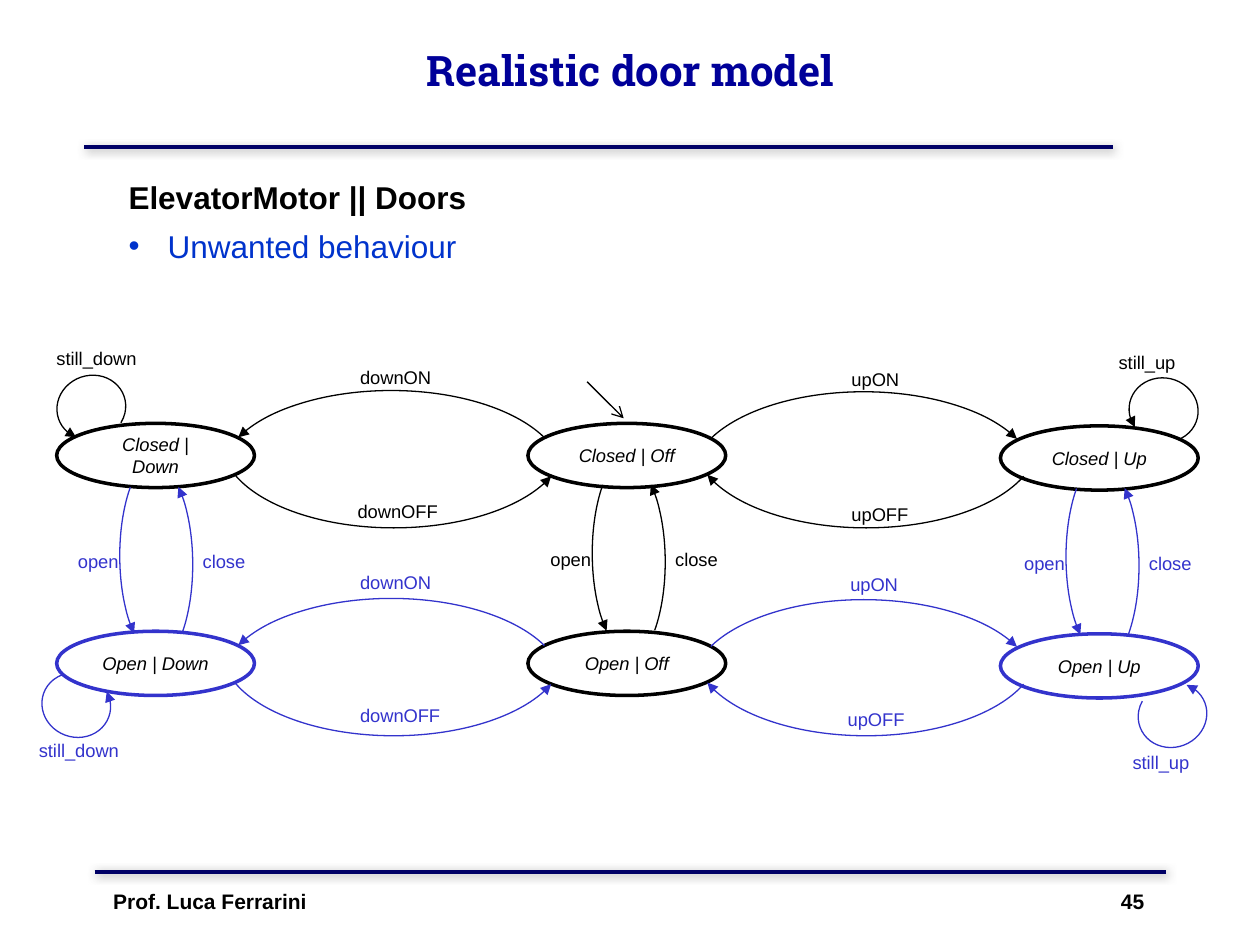
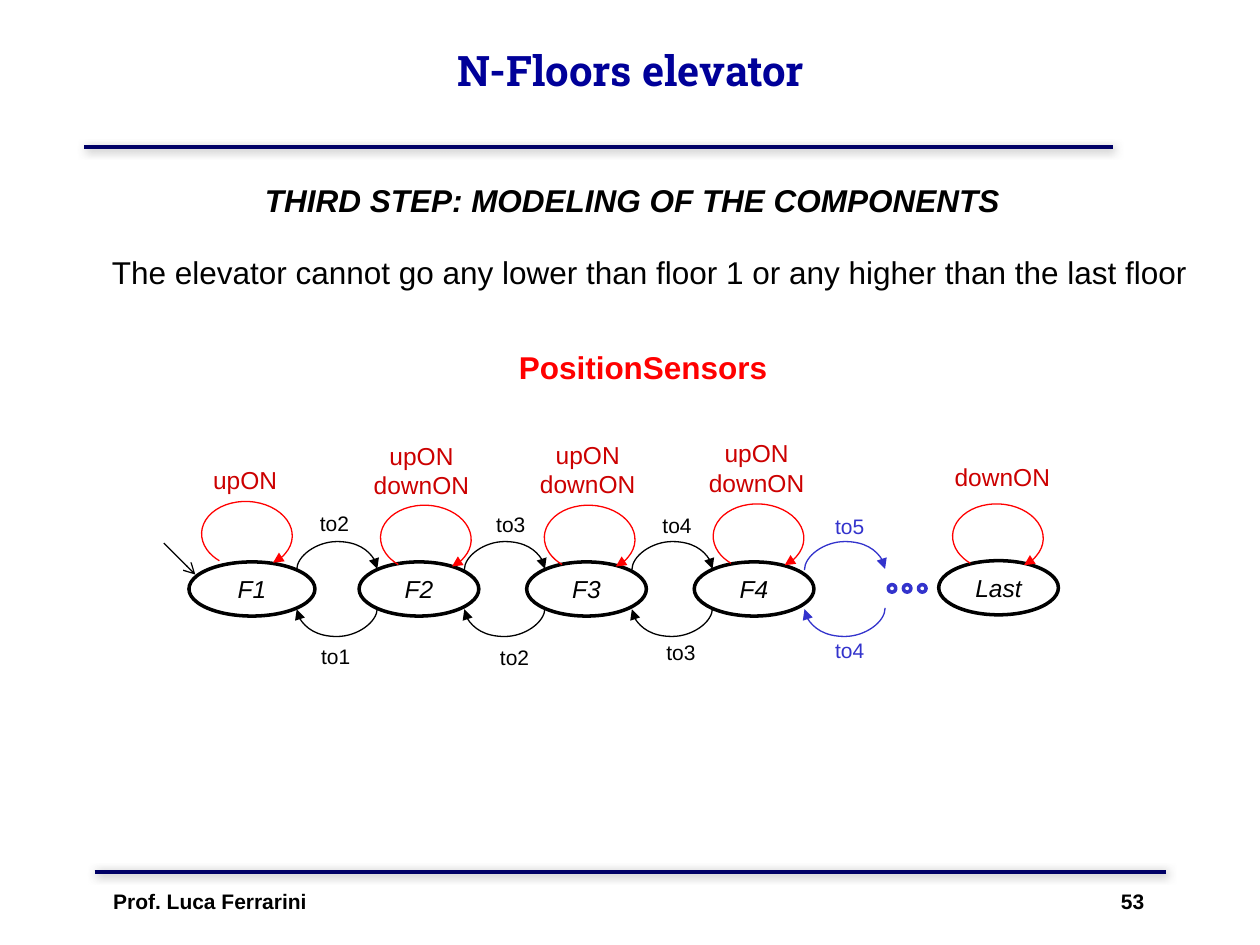
from lxml.etree import SubElement
from pptx import Presentation
from pptx.dml.color import RGBColor
from pptx.enum.shapes import MSO_CONNECTOR, MSO_SHAPE
from pptx.enum.text import MSO_ANCHOR, PP_ALIGN
from pptx.oxml.ns import qn
from pptx.util import Inches, Pt

BLACK, WHITE, BLUE, RED, CRIMSON = "000000", "FFFFFF", "3333CC", "FF0000", "CC0000"
NAVY, TITLE_BLUE, BULLET_BLUE, SHADOW = "000066", "000099", "0033CC", "808080"

TITLE = {"name": "Roboto Slab", "size": Pt(24), "bold": True, "italic": False}
PLAIN = {"name": "Arial", "size": Pt(18), "bold": False, "italic": False}
STRONG = PLAIN | {"bold": True}
STEP = STRONG | {"italic": True}
FOOTER = STRONG | {"size": Pt(12)}
EVENT = PLAIN | {"size": Pt(10.5)}
MOVE = PLAIN | {"size": Pt(12)}
SENSOR = PLAIN | {"size": Pt(14)}

AUTHOR = "Prof. Luca Ferrarini"
RULES = [((0.67, 1.17), (8.83, 1.17)), ((0.75, 6.92), (9.25, 6.92))]

UPPER, LOWER, SIDE, LOOP = (116.7, 207.39), (7.46, 100.93), (173.36, 39.61), (81.6, 27.6)

DOOR_STATES = [
    ("Closed | Down", 0.45, 3.36, BLACK), ("Closed | Off", 4.19, 3.36, BLACK),
    ("Closed | Up", 7.94, 3.38, BLACK), ("Open | Down", 0.45, 5.01, BLUE),
    ("Open | Off", 4.19, 5.01, BLACK), ("Open | Up", 7.94, 5.03, BLUE),
]
DOOR_MOVES = [(0.88, 3.67, BLUE), (4.63, 3.65, BLACK), (8.39, 3.68, BLUE)]
MOTOR_ARCS = [
    (1.74, 3.1, UPPER, "head"), (1.76, 2.82, LOWER, "head"),
    (5.49, 3.11, UPPER, "tail"), (5.51, 2.82, LOWER, "tail"),
]
MOTOR_ROWS = [(0, BLACK), (1.65, BLUE)]
STILL_LOOPS = [
    (0.45, 2.98, 341.2, BLACK), (0.33, 5.34, 200.1, BLUE),
    (8.96, 3.0, 13.2, BLACK), (9.03, 5.42, 158.9, BLUE),
]
DOOR_EVENTS = [
    ("downON", 2.76, 2.86, BLACK), ("downON", 2.76, 4.48, BLUE),
    ("downOFF", 2.74, 3.92, BLACK), ("downOFF", 2.76, 5.54, BLUE),
    ("upOFF", 6.66, 3.94, BLACK), ("upOFF", 6.63, 5.57, BLUE),
    ("upON", 6.66, 2.87, BLACK), ("upON", 6.65, 4.5, BLUE),
    ("still_down", 0.35, 2.71, BLACK), ("still_down", 0.21, 5.82, BLUE),
    ("still_up", 8.78, 2.74, BLACK), ("still_up", 8.89, 5.91, BLUE),
]

FLOORS = [
    ("F1", 1.5, 4.46, 1), ("F2", 2.85, 4.46, 0.95), ("F3", 4.18, 4.46, 0.95),
    ("F4", 5.51, 4.46, 0.95), ("Last", 7.45, 4.45, 0.95),
]
FLOOR_MOVES = [
    (2.36, BLACK, ("to2", 2.44, 4.0), ("to1", 2.45, 5.06)),
    (3.69, BLACK, ("to3", 3.84, 4.01), ("to2", 3.87, 5.07)),
    (5.02, BLACK, ("to4", 5.16, 4.02), ("to3", 5.19, 5.03)),
    (6.39, BLUE, ("to5", 6.53, 4.03), ("to4", 6.53, 5.01)),
]
SENSOR_LOOPS = [
    (1.6, 3.98, "upON", 1.44, 3.64), (3.02, 4.01, "upON\ndownON", 2.84, 3.45),
    (4.32, 4.01, "upON\ndownON", 4.16, 3.44), (5.66, 4.0, "upON\ndownON", 5.5, 3.43),
    (7.56, 4.0, "downON", 7.45, 3.62),
]


def hue(code):
    """Turn a hex string into a colour."""
    return RGBColor.from_string(code)


def style(paragraph, font, color, align):
    """Format one paragraph."""
    paragraph.alignment = align
    for key, value in font.items():
        setattr(paragraph.font, key, value)
    paragraph.font.color.rgb = hue(color)


def write(holder, text, font, color, align=PP_ALIGN.LEFT):
    """Fill a shape with formatted text."""
    holder.text_frame.text = text
    holder.text_frame.word_wrap = True
    for paragraph in holder.text_frame.paragraphs:
        style(paragraph, font, color, align)


def place(holder, *box):
    """Move a placeholder to a box given in inches."""
    for side, length in zip(("left", "top", "width", "height"), box):
        setattr(holder, side, Inches(length))


def label(slide, text, box, font, color=BLACK, align=PP_ALIGN.LEFT):
    """Add a text box."""
    write(slide.shapes.add_textbox(*map(Inches, box)), text, font, color, align)


def outline(part, color, width, **ends):
    """Set a line and its arrowheads."""
    part.line.color.rgb = hue(color)
    part.line.width = Pt(width)
    for end, kind in ends.items():
        SubElement(part.element.spPr.get_or_add_ln(), qn(f"a:{end}End"), type=kind)


def link(slide, start, finish, color, width, kind=MSO_CONNECTOR.STRAIGHT, **ends):
    """Add a connector and return it with its empty effect list."""
    line = slide.shapes.add_connector(kind, *map(Inches, start + finish))
    outline(line, color, width, **ends)
    return line, SubElement(line.element.spPr, qn("a:effectLst"))


def state(slide, text, box, color, font):
    """Add an ellipse for an automaton state."""
    oval = slide.shapes.add_shape(MSO_SHAPE.OVAL, *map(Inches, box))
    oval.shadow.inherit = False
    oval.fill.solid()
    oval.fill.fore_color.rgb = hue(WHITE)
    outline(oval, color, 2)
    if text:
        write(oval, text, font | {"italic": True}, BLACK, PP_ALIGN.CENTER)
        oval.text_frame.vertical_anchor = MSO_ANCHOR.MIDDLE


def arc(slide, box, sweep, color, turn=0, end="head", flip=False):
    """Add an arc with an arrowhead."""
    bend = slide.shapes.add_shape(MSO_SHAPE.ARC, *map(Inches, box))
    bend.shadow.inherit = False
    bend.fill.background()
    bend.adjustments[0], bend.adjustments[1] = sweep
    bend.rotation = turn
    if flip:
        bend.element.spPr.find(qn("a:xfrm")).set("flipH", "1")
    outline(bend, color, 0.75, **{end: "triangle"})


def hop(slide, start, finish, color):
    """Add a U-shaped curve between two floors."""
    curve, _ = link(slide, start, finish, color, 0.75, MSO_CONNECTOR.CURVE, tail="triangle")
    curve.element.spPr.find(qn("a:xfrm")).set("rot", "5400000")
    guides = curve.element.spPr.find(qn("a:prstGeom")).get_or_add_avLst()
    SubElement(guides, qn("a:gd"), name="adj1", fmla="val 2300000")


def new_slide(deck, layout, title, number):
    """Add a slide with the shared title, rules and footer."""
    slide = deck.slides.add_slide(deck.slide_layouts[layout])
    for start, finish in RULES:
        _, effects = link(slide, start, finish, NAVY, 2.25)
        shade = SubElement(effects, qn("a:outerShdw"), blurRad=str(Pt(5)),
                           dist=str(Pt(1.4)), dir="2700000", algn="ctr", rotWithShape="0")
        tint = SubElement(shade, qn("a:srgbClr"), val=SHADOW)
        SubElement(tint, qn("a:alpha"), val="75000")
    heading = slide.shapes.title
    place(heading, 0.92, -0.07, 8.17, 1.25)
    write(heading, title, TITLE, TITLE_BLUE, PP_ALIGN.CENTER)
    heading.text_frame.vertical_anchor = MSO_ANCHOR.MIDDLE
    label(slide, AUTHOR, (0.8, 7, 4, 0.3), FOOTER)
    label(slide, number, (8.18, 7, 1, 0.3), FOOTER, align=PP_ALIGN.RIGHT)
    return slide


def door_slide(deck):
    """Build the door and motor automaton."""
    slide = new_slide(deck, 1, "Realistic door model", "45")
    topics = slide.placeholders[1]
    place(topics, 0.92, 1.36, 7.94, 0.8)
    write(topics, "ElevatorMotor || Doors\nUnwanted behaviour", STRONG, BLACK)
    product, behaviour = topics.text_frame.paragraphs
    style(behaviour, PLAIN, BULLET_BLUE, PP_ALIGN.LEFT)
    for topic, gap, indent, bullet in ((product, 0, 0, None), (behaviour, 6.7, 0.31, "•")):
        topic.space_before = Pt(gap)
        props = topic._p.get_or_add_pPr()
        props.set("marL", str(Inches(indent)))
        props.set("indent", str(-Inches(indent)))
        mark = SubElement(props, qn("a:buChar" if bullet else "a:buNone"))
        if bullet:
            mark.set("char", bullet)
        props.append(props.find(qn("a:defRPr")))

    for text, x, y, color in DOOR_STATES:
        state(slide, text, (x, y, 1.57, 0.51), color, EVENT)
    for x, y, color in DOOR_MOVES:
        arc(slide, (x, y, 0.65, 1.62), SIDE, color)
        arc(slide, (x + 0.07, y - 0.07, 0.65, 1.62), SIDE, color, 180)
        label(slide, "open", (x - 0.36, y + 0.65, 0.75, 0.28), EVENT, color)
        label(slide, "close", (x + 0.63, y + 0.65, 0.65, 0.28), EVENT, color)
    for drop, color in MOTOR_ROWS:
        for x, y, sweep, end in MOTOR_ARCS:
            arc(slide, (x, y + drop, 2.73, 1.37), sweep, color, end=end)
    for x, y, turn, color in STILL_LOOPS:
        arc(slide, (x, y, 0.55, 0.51), LOOP, color, turn)
    for text, x, y, color in DOOR_EVENTS:
        label(slide, text, (x, y, 0.93, 0.28), EVENT, color)
    link(slide, (4.66, 3.03), (4.95, 3.32), BLACK, 0.75, tail="arrow")


def floors_slide(deck):
    """Build the position sensors automaton."""
    slide = new_slide(deck, 5, "N-Floors elevator", "53")
    label(slide, "THIRD STEP: MODELING OF THE COMPONENTS", (0.7, 1.39, 8.64, 0.4),
          STEP, align=PP_ALIGN.CENTER)
    label(slide, "The elevator cannot go any lower than floor 1 or any higher than the last floor",
          (0.79, 1.96, 8.81, 0.4), PLAIN)
    label(slide, "PositionSensors", (4.02, 2.71, 4.46, 0.4), STRONG, RED)

    for text, x, y, width in FLOORS:
        state(slide, text, (x, y, width, 0.43), BLACK, SENSOR)
    for dot in range(3):
        state(slide, "", (7.05 + 0.12 * dot, 4.64, 0.06, 0.06), BLUE, SENSOR)
    for x, color, *events in FLOOR_MOVES:
        left, right = x + 0.31, x + 0.32
        hop(slide, (right, 4.84), (left, 4.2), color)
        hop(slide, (left, 4.51), (right, 5.15), color)
        for text, text_x, text_y in events:
            label(slide, text, (text_x, text_y, 0.64, 0.3), MOVE, color)
    for x, y, text, text_x, text_y in SENSOR_LOOPS:
        arc(slide, (x, y, 0.72, 0.53), LOOP, RED, 2.8, flip=True)
        label(slide, text, (text_x, text_y, 1.01, 0.34), SENSOR, CRIMSON, PP_ALIGN.CENTER)
    link(slide, (1.3, 4.31), (1.55, 4.56), BLACK, 0.75, tail="arrow")


def main():
    """Build and save the deck."""
    deck = Presentation()
    deck.slide_width, deck.slide_height = Inches(10), Inches(7.5)
    door_slide(deck)
    floors_slide(deck)
    deck.save("out.pptx")


if __name__ == "__main__":
    main()
